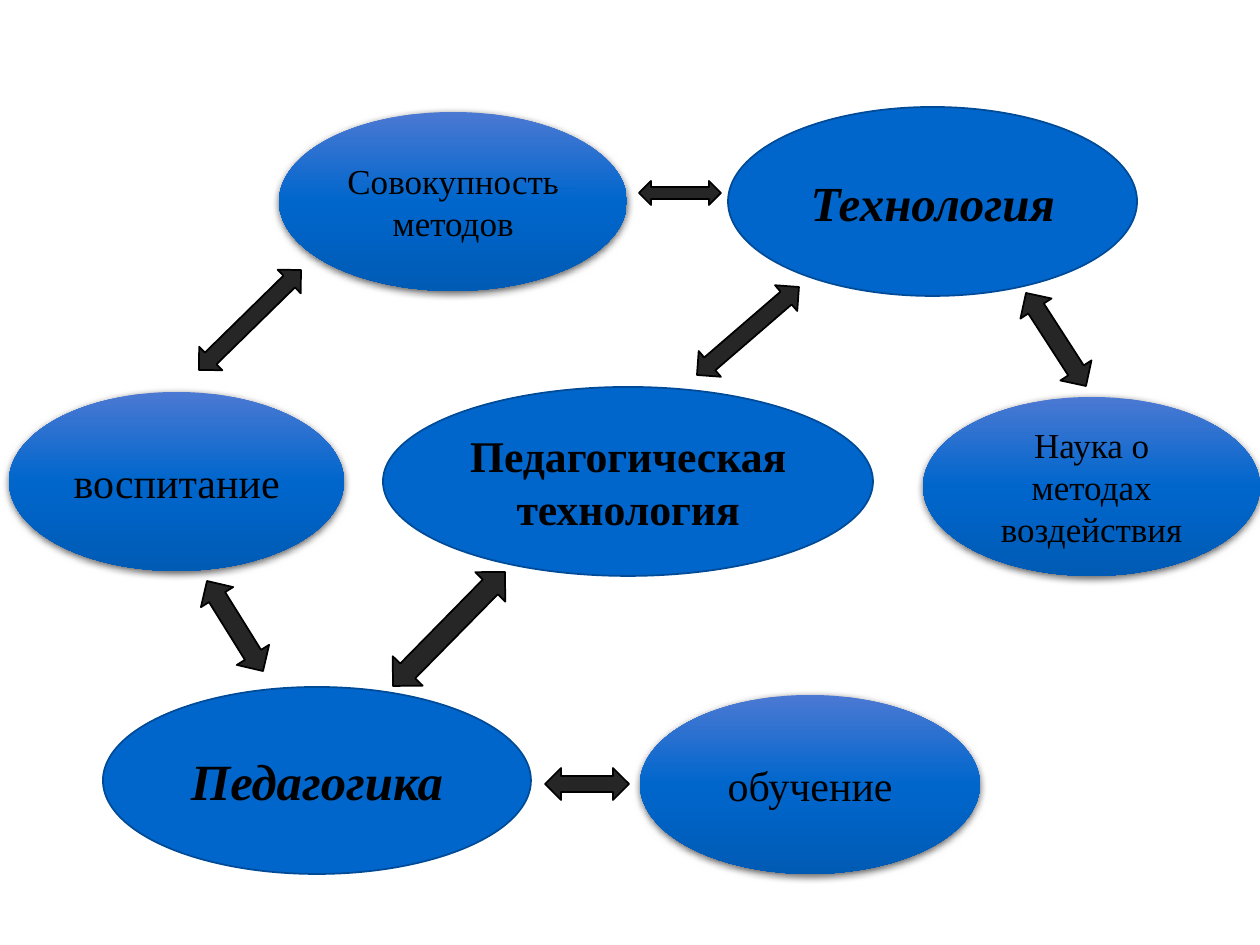
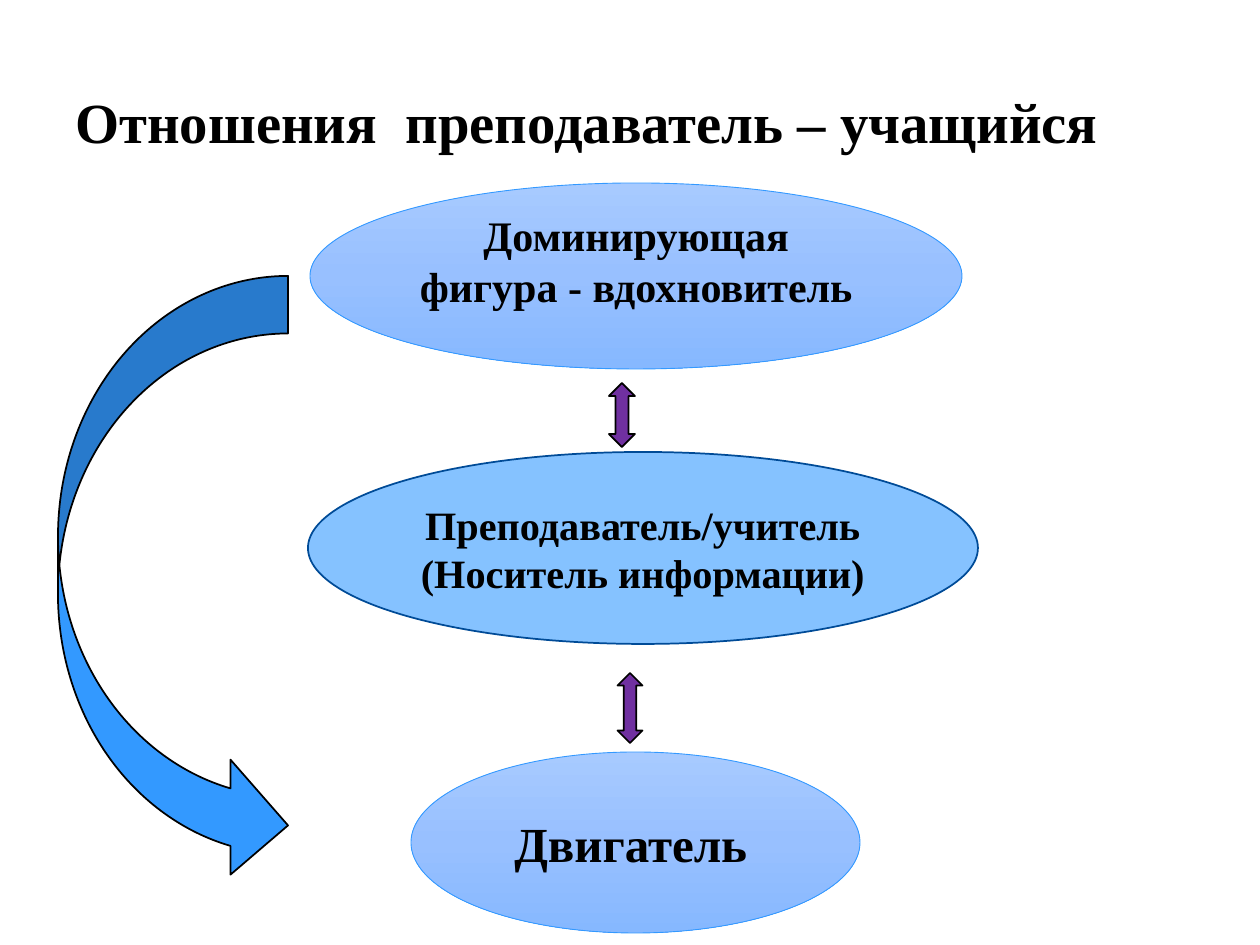
from copy import deepcopy
from math import atan2, degrees, hypot

from lxml.etree import SubElement
from pptx import Presentation
from pptx.dml.color import RGBColor
from pptx.enum.shapes import MSO_CONNECTOR, MSO_SHAPE
from pptx.enum.text import MSO_ANCHOR, PP_ALIGN
from pptx.oxml.ns import qn
from pptx.util import Emu, Pt

PX = 914400 / 126
FONT = "Times New Roman"
BLACK = RGBColor(0x00, 0x00, 0x00)
CHARCOAL = RGBColor(0x26, 0x26, 0x26)
PURPLE = RGBColor(0x70, 0x30, 0xA0)
BLUE = RGBColor(0x00, 0x66, 0xCC)
NAVY = RGBColor(0x00, 0x4B, 0x97)
SKY = RGBColor(0x33, 0x99, 0xFF)
PALE_BLUE = RGBColor(0x85, 0xC2, 0xFF)
DEEP_GRADIENT = (RGBColor(0x4B, 0x79, 0xD3), BLUE, RGBColor(0x00, 0x5B, 0xB5))
LIGHT_GRADIENT = (RGBColor(0xA7, 0xCA, 0xFF), RGBColor(0x98, 0xC0, 0xFF),
                  RGBColor(0x86, 0xB8, 0xFF))


def px(*lengths):
    return [Emu(round(n * PX)) for n in lengths]


def write(s, text, size=24, bold=False, italic=False, align=PP_ALIGN.CENTER,
          right=12, bottom=6):
    tf = s.text_frame
    tf.word_wrap = True
    tf.vertical_anchor = MSO_ANCHOR.MIDDLE
    tf.margin_right, tf.margin_bottom = px(right, bottom)
    for i, line in enumerate(text.split("\n")):
        p = tf.paragraphs[0] if i == 0 else tf.add_paragraph()
        p.alignment = align
        r = p.add_run()
        r.text = line
        font = r.font
        font.name, font.size, font.bold, font.italic = FONT, Pt(size), bold, italic
        font.color.rgb = BLACK


def fill_gradient(s, colors):
    """Spread the colours evenly from top to bottom."""
    s.fill.gradient()
    s.fill.gradient_angle = 270
    stops = s.element.spPr.find(qn("a:gradFill")).find(qn("a:gsLst"))
    for _ in colors[2:]:
        stops.insert(1, deepcopy(stops[0]))
    for i, (stop, color) in enumerate(zip(s.fill.gradient_stops, colors)):
        stop.color.rgb = color
        stop.position = i / (len(colors) - 1)


def add_shape(slide, kind, box, fill, line=None, line_width=1):
    s = slide.shapes.add_shape(kind, *px(*box))
    s.shadow.inherit = False
    if isinstance(fill, RGBColor):
        s.fill.solid()
        s.fill.fore_color.rgb = fill
    else:
        fill_gradient(s, fill)
    if line is None:
        s.line.fill.background()
    else:
        s.line.color.rgb = line
        s.line.width = Pt(line_width)
    return s


def add_soft_shadow(s):
    effects = s.element.spPr.find(qn("a:effectLst"))
    shadow = SubElement(effects, qn("a:outerShdw"), blurRad=str(Pt(4.5)),
                        dist=str(Pt(1.5)), dir="5400000", rotWithShape="0")
    color = SubElement(shadow, qn("a:srgbClr"), val=str(BLACK))
    SubElement(color, qn("a:alpha"), val="63000")


def add_oval(slide, box, text, fill=BLUE, line=NAVY, line_width=1, **fmt):
    s = add_shape(slide, MSO_SHAPE.OVAL, box, fill, line, line_width)
    write(s, text, **fmt)
    return s


def add_double_arrow(slide, start, end, thickness, fill):
    """Lay a two-headed block arrow from one point to the other."""
    (x1, y1), (x2, y2) = start, end
    length = hypot(x2 - x1, y2 - y1)
    box = ((x1 + x2 - length) / 2, (y1 + y2 - thickness) / 2, length, thickness)
    s = add_shape(slide, MSO_SHAPE.LEFT_RIGHT_ARROW, box, fill, BLACK)
    s.rotation = degrees(atan2(y2 - y1, x2 - x1))


def add_dash(slide, x1, y, x2):
    c = slide.shapes.add_connector(MSO_CONNECTOR.STRAIGHT, *px(x1, y, x2, y))
    c.line.color.rgb = BLUE
    c.line.width = Pt(0.5)
    SubElement(c.element.spPr, qn("a:effectLst"))


def build_concept_map(slide):
    aspects = [
        ((640, 695, 340, 179), "обучение", 24),
        ((923, 397, 337, 179), "Наука о методах воздействия", 20),
        ((9, 392, 335, 179), "воспитание", 24),
        ((279, 112, 348, 179), "Совокупность методов", 20),
    ]
    for box, text, size in aspects:
        add_soft_shadow(add_oval(slide, box, text, DEEP_GRADIENT, None, size=size))
    add_dash(slide, 556, 188, 575)

    add_oval(slide, (383, 387, 490, 189), "Педагогическая технология", size=25, bold=True)
    add_oval(slide, (728, 107, 409, 189), "Технология", size=28, bold=True, italic=True)
    add_oval(slide, (103, 687, 428, 187), "Педагогика", size=29, bold=True, italic=True)

    links = [
        ((1026, 293), (1086, 386), 37),
        ((697, 375), (799, 287), 34),
        ((639, 193), (721, 193), 24),
        ((505, 572), (393, 686), 42),
        ((545, 784), (629, 784), 32),
        ((207, 581), (263, 671), 38),
        ((199, 370), (301, 270), 33),
    ]
    for start, end, thickness in links:
        add_double_arrow(slide, start, end, thickness, CHARCOAL)


def build_relations(slide):
    title = slide.shapes.add_textbox(*px(63, 47, 1134, 147))
    write(title, "Отношения  преподаватель – учащийся", size=32.4, bold=True,
          align=PP_ALIGN.LEFT)
    light = dict(fill=LIGHT_GRADIENT, line=SKY, line_width=0.5, bold=True)
    add_oval(slide, (310, 183, 652, 186), "Доминирующая\nфигура - вдохновитель",
             bottom=38, **light)
    add_oval(slide, (411, 752, 449, 181), "Двигатель", size=28, right=22, **light)
    add_double_arrow(slide, (622, 447), (622, 383), 26, PURPLE)
    add_double_arrow(slide, (630, 673), (630, 743), 25, PURPLE)
    add_oval(slide, (308, 452, 670, 192), "Преподаватель/учитель\n(Носитель информации)",
             PALE_BLUE, size=23, bold=True)
    add_shape(slide, MSO_SHAPE.CURVED_RIGHT_ARROW, (58, 276, 230, 607), SKY, BLACK)


def main():
    prs = Presentation()
    prs.slide_width, prs.slide_height = px(1260, 945)
    for build in (build_concept_map, build_relations):
        build(prs.slides.add_slide(prs.slide_layouts[6]))
    prs.save("out.pptx")


if __name__ == "__main__":
    main()
